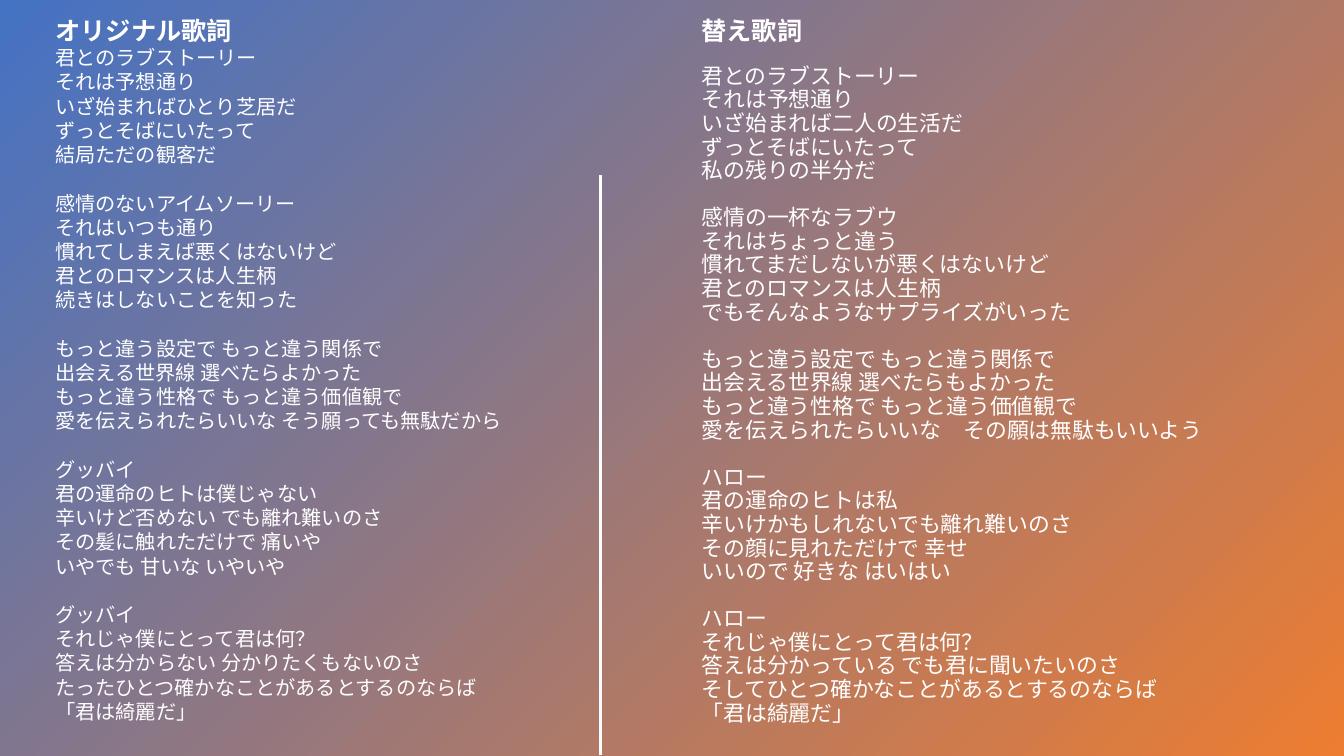
import pptx
import pptx.dml.color
import pptx.enum.shapes
import pptx.enum.text
import pptx.util
import lxml.etree
from pptx.util import Inches, Pt

COLORS = {"sky": "4472C4", "sunset": "ED7D31", "text": "FFFFFF"}
BODY_FONT = "Arial"
HEADING_FONT = "Noto Sans CJK SC"

ORIGINAL_LYRICS = [
    ["君とのラブストーリー", "それは予想通り", "いざ始まればひとり芝居だ",
     "ずっとそばにいたって", "結局ただの観客だ"],
    ["感情のないアイムソーリー", "それはいつも通り", "慣れてしまえば悪くはないけど",
     "君とのロマンスは人生柄", "続きはしないことを知った"],
    ["もっと違う設定で もっと違う関係で", "出会える世界線 選べたらよかった",
     "もっと違う性格で もっと違う価値観で",
     "愛を伝えられたらいいな そう願っても無駄だから"],
    ["グッバイ", "君の運命のヒトは僕じゃない", "辛いけど否めない でも離れ難いのさ",
     "その髪に触れただけで 痛いや", "いやでも 甘いな いやいや"],
    ["グッバイ", "それじゃ僕にとって君は何？", "答えは分からない 分かりたくもないのさ",
     "たったひとつ確かなことがあるとするのならば", "「君は綺麗だ」"],
]
NEW_LYRICS = [
    ["君とのラブストーリー", "それは予想通り", "いざ始まれば二人の生活だ",
     "ずっとそばにいたって", "私の残りの半分だ"],
    ["感情の一杯なラブウ", "それはちょっと違う", "慣れてまだしないが悪くはないけど",
     "君とのロマンスは人生柄", "でもそんなようなサプライズがいった"],
    ["もっと違う設定で もっと違う関係で", "出会える世界線 選べたらもよかった",
     "もっと違う性格で もっと違う価値観で",
     "愛を伝えられたらいいな　その願は無駄もいいよう"],
    ["ハロー", "君の運命のヒトは私", "辛いけかもしれないでも離れ難いのさ",
     "その顔に見れただけで 幸せ", "いいので 好きな はいはい"],
    ["ハロー", "それじゃ僕にとって君は何？", "答えは分かっている でも君に聞いたいのさ",
     "そしてひとつ確かなことがあるとするのならば", "「君は綺麗だ」"],
]
COLUMNS = [
    {"heading": "オリジナル歌詞", "stanzas": ORIGINAL_LYRICS, "left": 0.45,
     "width": 5.06, "size": 14.4, "spacing": 1.0, "gap": 17.3, "bottom_inset": 0.27},
    {"heading": "替え歌詞", "stanzas": NEW_LYRICS, "left": 6.86,
     "width": 5.31, "size": 15.6, "spacing": 0.9, "gap": 16.9, "bottom_inset": 0.05},
]


def rgb(name):
    return pptx.dml.color.RGBColor.from_string(COLORS[name])


def add_text(paragraph, text, font_name, size, bold=False):
    run = paragraph.add_run()
    run.text = text
    run.font.name = font_name
    run.font.size = Pt(size)
    run.font.bold = bold
    run.font.color.rgb = rgb("text")


def write_heading(heading, column):
    heading.left, heading.top = Inches(column["left"]), Inches(0.1)
    heading.width, heading.height = Inches(2.09), Inches(0.4)
    frame = heading.text_frame
    frame.word_wrap = True
    frame.auto_size = pptx.enum.text.MSO_AUTO_SIZE.NONE
    frame.vertical_anchor = pptx.enum.text.MSO_ANCHOR.TOP
    paragraph = frame.paragraphs[0]
    paragraph.alignment = pptx.enum.text.PP_ALIGN.LEFT
    add_text(paragraph, column["heading"], HEADING_FONT, 18, True)


def add_lyrics(slide, column):
    lyrics = slide.shapes.add_textbox(
        Inches(column["left"]), Inches(0.5), Inches(column["width"]), Inches(6.85))
    frame = lyrics.text_frame
    frame.word_wrap = True
    frame.vertical_anchor = pptx.enum.text.MSO_ANCHOR.MIDDLE
    frame.margin_bottom = Inches(column["bottom_inset"])
    for number, stanza in enumerate(column["stanzas"]):
        paragraph = frame.add_paragraph() if number else frame.paragraphs[0]
        paragraph.line_spacing = column["spacing"]
        paragraph.space_before = Pt(column["gap"] if number else 0)
        for position, verse in enumerate(stanza):
            if position:
                paragraph.add_line_break()
            add_text(paragraph, verse, BODY_FONT, column["size"])
        for line_break in paragraph._p.findall(pptx.oxml.ns.qn("a:br")):
            properties = lxml.etree.SubElement(line_break, pptx.oxml.ns.qn("a:rPr"))
            properties.set("sz", str(round(column["size"] * 100)))


def main():
    deck = pptx.Presentation()
    deck.slide_width, deck.slide_height = Inches(13.33), Inches(7.5)
    slide = deck.slides.add_slide(deck.slide_layouts[5])

    backdrop = slide.shapes.add_shape(
        pptx.enum.shapes.MSO_SHAPE.RECTANGLE, 0, 0, deck.slide_width, deck.slide_height)
    backdrop.shadow.inherit = False
    backdrop.line.fill.background()
    backdrop.fill.gradient()
    backdrop.fill.gradient_angle = 315
    for stop, color in zip(backdrop.fill.gradient_stops, ("sky", "sunset")):
        stop.color.rgb = rgb(color)

    divider = slide.shapes.add_connector(
        pptx.enum.shapes.MSO_CONNECTOR.STRAIGHT,
        Inches(5.96), Inches(1.74), Inches(5.96), Inches(7.49))
    divider.line.color.rgb = rgb("text")
    divider.line.width = Pt(2)
    lxml.etree.SubElement(divider._element.spPr, pptx.oxml.ns.qn("a:effectLst"))

    for column in COLUMNS:
        add_lyrics(slide, column)
    title = slide.shapes.title
    slide.shapes._spTree.append(title._element)
    write_heading(title, COLUMNS[0])
    new_heading = slide.shapes.add_textbox(0, 0, Inches(2.09), Inches(0.4))
    write_heading(new_heading, COLUMNS[1])

    deck.save("out.pptx")


if __name__ == "__main__":
    main()
